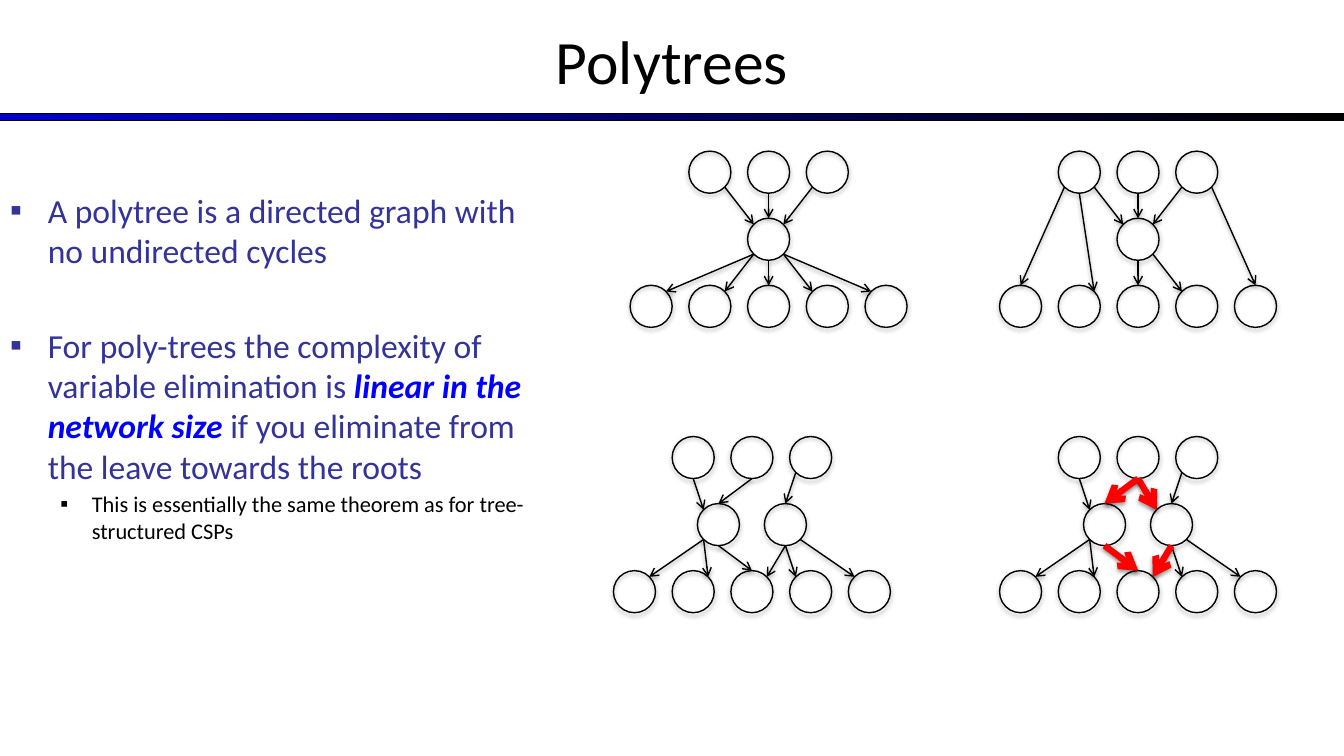
import lxml.etree
import pptx
import pptx.dml.color
import pptx.enum.shapes
import pptx.enum.text
import pptx.oxml.ns
import pptx.util
from pptx.util import Cm

FONT = "Calibri"
BLACK, NAVY, BLUE, RED = "000000", "333399", "0000FF", "FF0000"

# Graph measures in cm
NODE, COLUMN, ROW = 1.06, 1.48, 1.69
DIAGONAL = 0.5 ** 0.5
RIMS = {"t": (0, -1), "b": (0, 1),
        "tl": (-DIAGONAL, -DIAGONAL), "tr": (DIAGONAL, -DIAGONAL),
        "bl": (-DIAGONAL, DIAGONAL), "br": (DIAGONAL, DIAGONAL)}

# Node name -> (column, row), counted from the middle of the top row
PARENTS = {f"P{i + 1}": (i - 1, 0) for i in range(3)}
CHILDREN = {f"C{i + 1}": (i - 2, 2) for i in range(5)}
ONE_HUB = {**PARENTS, "M": (0, 1), **CHILDREN}
TWO_HUBS = {**PARENTS, "M1": (-0.57, 1), "M2": (0.57, 1), **CHILDREN}

# Edges, each from a rim point of one node to a rim point of another
INTO_HUB = ["P1.br M.tl", "P2.b M.t", "P3.bl M.tr"]
HUB_TREE = INTO_HUB + ["M.bl C1.tr", "M.bl C2.tr", "M.b C3.t",
                       "M.br C4.tl", "M.br C5.tl"]
SIDE_TREE = INTO_HUB + ["P1.bl C1.t", "P1.b C2.tr", "M.b C3.t",
                        "M.br C4.tl", "P3.br C5.t"]
TWIN_TREE = ["P1.b M1.tl", "P2.b M1.t", "P3.bl M2.t", "M1.bl C1.tr",
             "M1.bl C2.tr", "M1.b C3.t", "M2.b C4.tl", "M2.br C5.tl",
             "M2.b C3.tr"]
CYCLE = ["P2.b M2.tl", "M2.b C3.tr", "M1.b C3.t", "P2.b M1.t"]


def color(hex_code):
    return pptx.dml.color.RGBColor.from_string(hex_code)


def add_xml(parent, tag, **attributes):
    return lxml.etree.SubElement(parent, pptx.oxml.ns.qn(tag), attributes)


def add_shadow(element, opacity, distance):
    effects = add_xml(element.spPr, "a:effectLst")
    shadow = add_xml(effects, "a:outerShdw", blurRad=str(pptx.util.Pt(3.1)),
                     dist=str(pptx.util.Pt(distance)), dir="5400000",
                     rotWithShape="0")
    shade = add_xml(shadow, "a:srgbClr", val=BLACK)
    add_xml(shade, "a:alpha", val=str(opacity * 1000))


def write(paragraph, text, size=24, hex_code=NAVY, strong=False):
    run = paragraph.add_run()
    run.text = text
    run.font.name = FONT
    run.font.size = pptx.util.Pt(size)
    run.font.color.rgb = color(hex_code)
    run.font.bold = run.font.italic = strong


def place(item, left, top, width, height):
    item.left, item.top = Cm(left), Cm(top)
    item.width, item.height = Cm(width), Cm(height)


def set_bullet(paragraph, indent, hanging, before, hex_code=NAVY, level=0):
    paragraph.level = level
    paragraph.space_before = pptx.util.Pt(before)
    properties = paragraph._p.get_or_add_pPr()
    properties.set("marL", str(Cm(indent)))
    properties.set("indent", str(-Cm(hanging)))
    add_xml(add_xml(properties, "a:buClr"), "a:srgbClr", val=hex_code)
    add_xml(properties, "a:buFont", typeface=FONT)
    add_xml(properties, "a:buChar", char="▪")


def add_title(slide):
    title = slide.shapes.title
    place(title, 0, -0.08, 33.87, 3.18)
    title.text_frame.vertical_anchor = pptx.enum.text.MSO_ANCHOR.MIDDLE
    heading = title.text_frame.paragraphs[0]
    heading.alignment = pptx.enum.text.PP_ALIGN.CENTER
    write(heading, "Polytrees", size=44, hex_code=BLACK)


def add_rule(slide):
    rule = slide.shapes.add_shape(pptx.enum.shapes.MSO_SHAPE.RECTANGLE,
                                  0, Cm(2.86), Cm(33.87), Cm(0.19))
    rule.shadow.inherit = False
    rule.fill.gradient()
    rule.fill.gradient_angle = 0
    for stop, hex_code in zip(rule.fill.gradient_stops, ("0000CC", BLACK)):
        stop.color.rgb = color(hex_code)
    rule.line.color.rgb = color(BLACK)
    rule.line.width = pptx.util.Pt(0.75)


def add_statements(slide):
    body = slide.placeholders[1]
    place(body, 0, 4.66, 14.17, 12.37)
    frame = body.text_frame
    frame.auto_size = pptx.enum.text.MSO_AUTO_SIZE.NONE

    definition = frame.paragraphs[0]
    set_bullet(definition, 0.95, 0.95, before=0)
    write(definition, "A polytree is a directed graph with no undirected cycles")

    complexity = frame.add_paragraph()
    set_bullet(complexity, 0.95, 0.95, before=38.5)
    write(complexity, "For poly-trees the complexity of variable elimination is ")
    write(complexity, "linear in the network size ", hex_code=BLUE, strong=True)
    write(complexity, "if you eliminate from the leave towards the roots")

    theorem = frame.add_paragraph()
    set_bullet(theorem, 2.06, 0.79, before=3.2, hex_code=BLACK, level=1)
    write(theorem, "This is essentially the same theorem as for "
          "tree-structured CSPs", size=16, hex_code=BLACK)


def add_node(slide, x, y):
    node = slide.shapes.add_shape(pptx.enum.shapes.MSO_SHAPE.OVAL,
                                  Cm(x - NODE / 2), Cm(y - NODE / 2),
                                  Cm(NODE), Cm(NODE))
    node.fill.background()
    node.line.color.rgb = color(BLACK)
    node.line.width = pptx.util.Pt(1)
    add_shadow(node._element, opacity=35, distance=1.8)


def add_edge(slide, start, end, hex_code, width):
    edge = slide.shapes.add_connector(
        pptx.enum.shapes.MSO_CONNECTOR.STRAIGHT,
        *(Cm(length) for length in (*start, *end)))
    edge.line.color.rgb = color(hex_code)
    edge.line.width = pptx.util.Pt(width)
    add_xml(edge.line._get_or_add_ln(), "a:tailEnd", type="arrow")
    add_shadow(edge._element, opacity=38, distance=1.6)


def add_graph(slide, x, y, nodes, edges, highlighted=()):
    centers = {name: (x + column * COLUMN, y + row * ROW)
               for name, (column, row) in nodes.items()}

    def rim_point(reference):
        name, side = reference.split(".")
        return [center + direction * NODE / 2
                for center, direction in zip(centers[name], RIMS[side])]

    for center in centers.values():
        add_node(slide, *center)
    for group, hex_code, width in ((edges, BLACK, 1), (highlighted, RED, 4.5)):
        for edge in group:
            start, end = map(rim_point, edge.split())
            add_edge(slide, start, end, hex_code, width)


def main():
    deck = pptx.Presentation()
    deck.slide_width, deck.slide_height = Cm(33.87), Cm(19.05)
    slide = deck.slides.add_slide(deck.slide_layouts[1])

    # Heading and statements
    add_rule(slide)
    add_title(slide)
    add_statements(slide)

    # Example graphs; the last one has an undirected cycle
    add_graph(slide, 19.37, 4.34, ONE_HUB, HUB_TREE)
    add_graph(slide, 28.68, 4.34, ONE_HUB, SIDE_TREE)
    add_graph(slide, 18.95, 11.53, TWO_HUBS, TWIN_TREE)
    add_graph(slide, 28.68, 11.53, TWO_HUBS, TWIN_TREE + CYCLE[:1], CYCLE)

    deck.save("out.pptx")


main()
